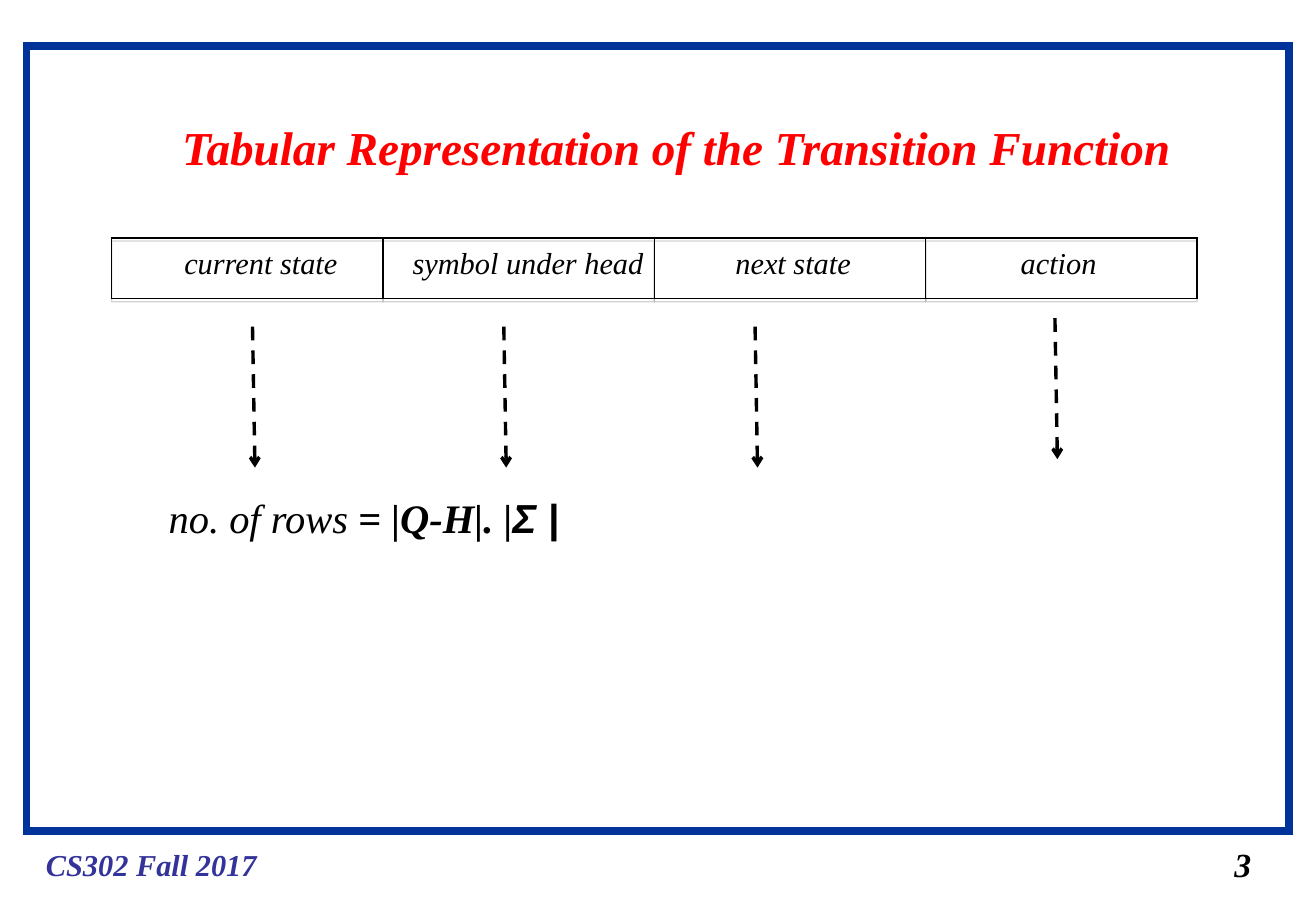
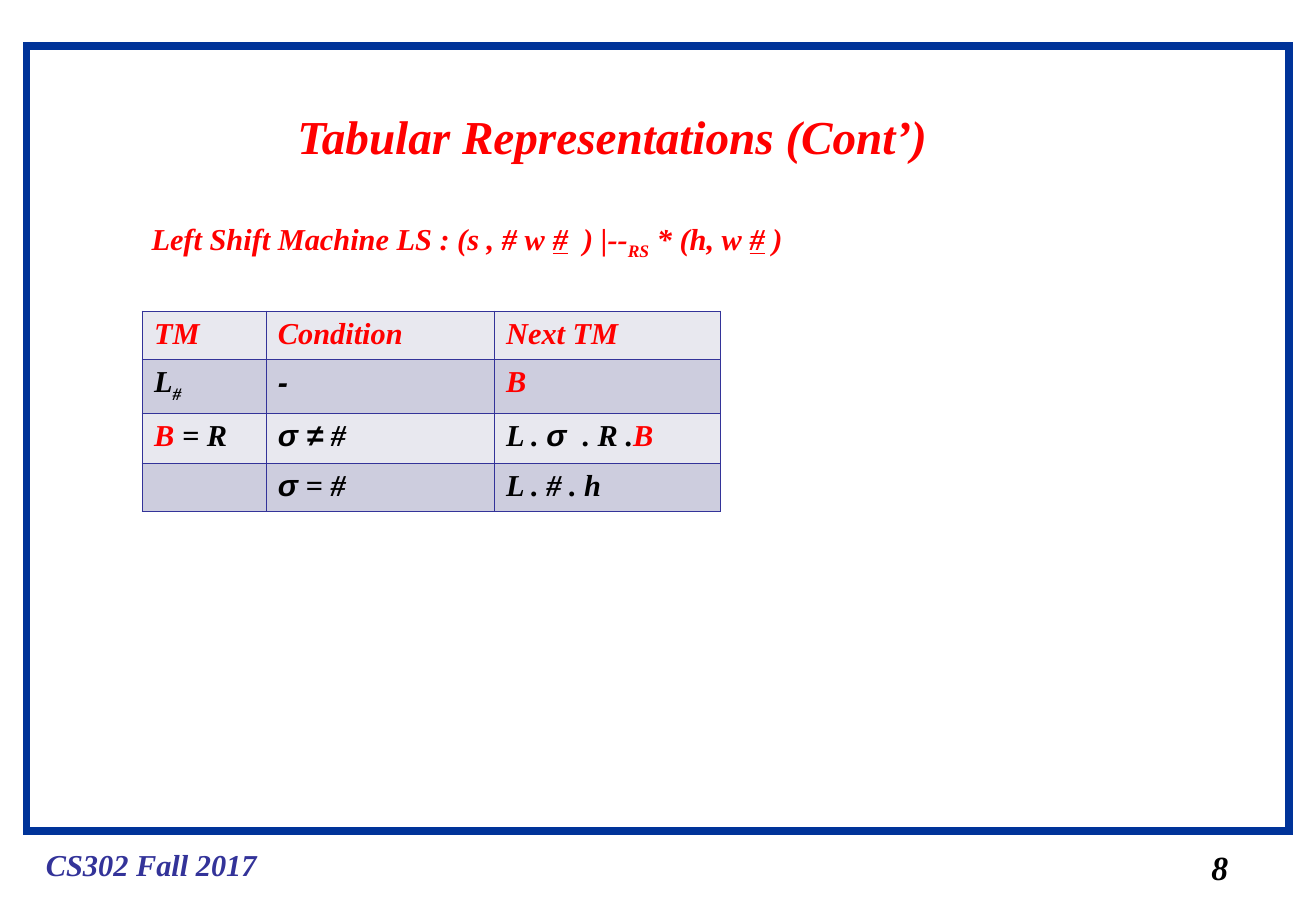
from pptx import Presentation
from pptx.dml.color import RGBColor
from pptx.enum.dml import MSO_LINE
from pptx.enum.shapes import MSO_CONNECTOR, MSO_SHAPE
from pptx.enum.text import MSO_ANCHOR, PP_ALIGN
from pptx.oxml import parse_xml
from pptx.oxml.ns import nsdecls, qn
from pptx.util import Inches, Pt

SERIF, SANS = "Times New Roman", "Arial"
RED, BLACK, NAVY, BLUE = "FF0000", "000000", "333399", "003399"
BANDS = ["E8E8EF", "CDCDDE"]

FOOTER = "CS302 Fall 2017"
HEADS = [
    ("current state", 1.42, 1.6),
    ("symbol under head", 3.3, 2.25),
    ("next state", 5.96, 1.3),
    ("action", 8.31, 1),
]
ARROWS = [(2.08, 2.69), (4.15, 2.69), (6.22, 2.69), (8.69, 2.62)]
COUNT = [
    ("no. of rows ", {"bold": False}),
    ("= |Q-H|. |", {}),
    ("Σ |", {"face": SANS}),
]
SHIFT = [
    ("Left Shift Machine LS : (s , # w ", {}),
    ("#", {"under": True}),
    ("  ) |--", {}),
    ("RS", {"sub": True}),
    (" * (h, w ", {}),
    ("#", {"under": True}),
    (" )", {}),
]
WIDTHS = [1.02, 1.88, 1.86]
HEIGHTS = [0.4, 0.44, 0.41, 0.4]
SIGMA, RUBY = {"face": SANS}, {"color": RED}
ROWS = [
    [[("TM", RUBY)], [("Condition", RUBY)], [("Next TM", RUBY)]],
    [[("L", {}), ("#", {"sub": True})], [("-", SIGMA)], [("B", RUBY)]],
    [
        [("B", RUBY), (" = R", {})],
        [("σ ≠", SIGMA), (" #", {})],
        [("L . ", {}), ("σ ", SIGMA), (" . R .", {}), ("B", RUBY)],
    ],
    [[], [("σ", SIGMA), (" = #", {})], [("L . # . h", {})]],
]


def rgb(code):
    return RGBColor.from_string(code)


def xml(tag, attrs="", inner=""):
    return parse_xml(f"<a:{tag} {nsdecls('a')} {attrs}>{inner}</a:{tag}>")


def ink(code):
    return f'<a:solidFill><a:srgbClr val="{code}"/></a:solidFill>'


def write(frame, runs, size, color=BLACK, bold=True):
    para = frame.paragraphs[0]
    para.alignment = PP_ALIGN.LEFT
    for text, opts in runs:
        run = para.add_run()
        run.text = text
        font = run.font
        font.name = opts.get("face", SERIF)
        font.size = Pt(size)
        font.bold = opts.get("bold", bold)
        font.italic = True
        font.color.rgb = rgb(opts.get("color", color))
        if opts.get("under"):
            font.underline = True
        if opts.get("sub"):
            run._r.get_or_add_rPr().set("baseline", "-25000")


def label(slide, at, runs, size, color=BLACK, bold=True):
    box = slide.shapes.add_textbox(*map(Inches, at))
    box.text_frame.word_wrap = True
    write(box.text_frame, runs, size, color, bold)


def outline(slide, at, color, width):
    box = slide.shapes.add_shape(MSO_SHAPE.RECTANGLE, *map(Inches, at))
    box.shadow.inherit = False
    box.fill.background()
    box.line.color.rgb = rgb(color)
    box.line.width = Pt(width)
    box._element.spPr.find(qn("a:ln")).append(xml("miter", 'lim="800000"'))
    return box


def start(deck, title, place, number, spot):
    slide = deck.slides.add_slide(deck.slide_layouts[5])
    outline(slide, (0.22, 0.38, 10.4, 6.46), BLUE, 4.5)
    label(slide, (0.28, 6.92, 2.5, 0.4), [(FOOTER, {})], 18, NAVY)
    label(slide, (*spot, 0.5, 0.44), [(number, {})], 20)
    head = slide.shapes.title
    head.left, head.top, head.width, head.height = map(Inches, place)
    frame = head.text_frame
    frame.word_wrap = True
    frame.vertical_anchor = MSO_ANCHOR.TOP
    write(frame, [(title, {})], 28, RED)
    return slide


def header(slide):
    step = 2.235
    for i, (text, left, width) in enumerate(HEADS):
        box = outline(slide, (0.92 + i * step, 1.96, step, 0.5), BLACK, 0.75)
        shade = '<a:srgbClr val="808080"><a:alpha val="35000"/></a:srgbClr>'
        cast = xml("outerShdw", 'dist="22860" dir="5400000" rotWithShape="0"', shade)
        box._element.spPr.find(qn("a:effectLst")).append(cast)
        label(slide, (left, 1.96, width, 0.4), [(text, {})], 18, bold=False)


def arrow(slide, left, top):
    ends = (left, top, left + 0.02, top + 1.16)
    link = slide.shapes.add_connector(MSO_CONNECTOR.STRAIGHT, *map(Inches, ends))
    link.line.color.rgb = rgb(BLACK)
    link.line.width = Pt(2)
    link.line.dash_style = MSO_LINE.DASH
    props = link._element.spPr
    props.find(qn("a:ln")).append(xml("tailEnd", 'type="arrow"'))
    props.append(xml("effectLst"))


def grid(slide):
    at = (1.17, 2.56, sum(WIDTHS), sum(HEIGHTS))
    table = slide.shapes.add_table(len(ROWS), len(WIDTHS), *map(Inches, at)).table
    table.first_row = table.horz_banding = False
    for col, width in zip(table.columns, WIDTHS):
        col.width = Inches(width)
    for r, row in enumerate(ROWS):
        table.rows[r].height = Inches(HEIGHTS[r])
        for c, runs in enumerate(row):
            cell = table.cell(r, c)
            props = cell._tc.get_or_add_tcPr()
            for side in ("lnL", "lnR", "lnT", "lnB"):
                props.append(xml(side, 'w="5715"', ink(NAVY)))
            cell.fill.solid()
            cell.fill.fore_color.rgb = rgb(BANDS[r % 2])
            write(cell.text_frame, runs, 18)


def main():
    deck = Presentation()
    deck.slide_width, deck.slide_height = Inches(10.84), Inches(7.5)

    first = start(deck, "Tabular Representation of the Transition Function",
                  (1.4, 0.92, 8.6, 0.57), "3", (10.07, 6.9))
    header(first)
    for left, top in ARROWS:
        arrow(first, left, top)
    label(first, (1.29, 4.01, 3.8, 0.5), COUNT, 24)

    second = start(deck, "Tabular Representations (Cont’)",
                   (2.35, 0.83, 5.8, 0.57), "8", (9.88, 6.92))
    label(second, (1.15, 1.76, 8.68, 0.4), SHIFT, 18, RED)
    grid(second)
    deck.save("out.pptx")


if __name__ == "__main__":
    main()
